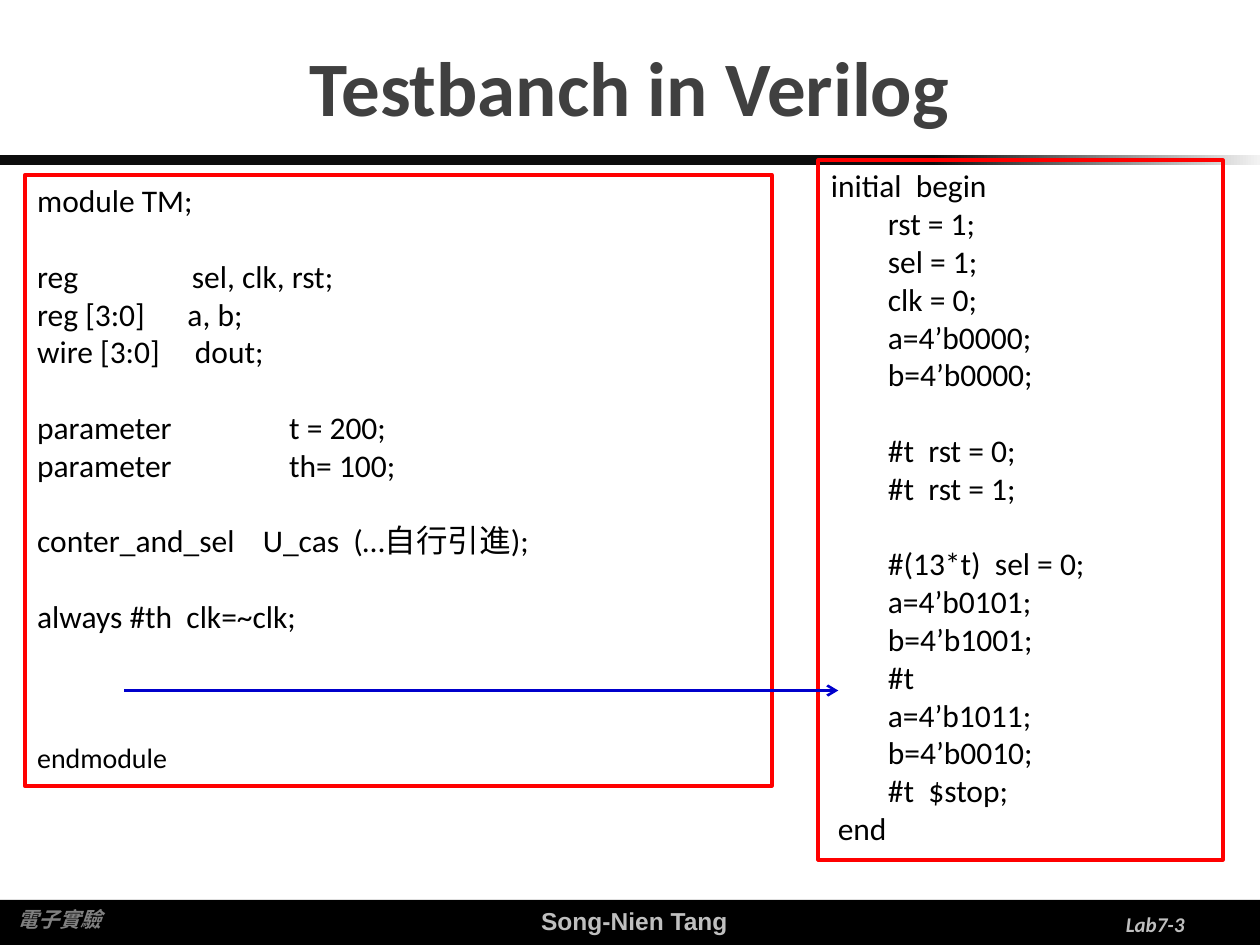
from copy import deepcopy

from lxml import etree
from pptx import Presentation
from pptx.dml.color import RGBColor
from pptx.enum import shapes, text
from pptx.oxml import ns
from pptx.util import Cm, Pt

BLACK = RGBColor(0x00, 0x00, 0x00)
NEAR_BLACK = RGBColor(0x0D, 0x0D, 0x0D)
PALE = RGBColor(0xF2, 0xF2, 0xF2)
DARK_GREY = RGBColor(0x40, 0x40, 0x40)
MID_GREY = RGBColor(0x80, 0x80, 0x80)
LIGHT_GREY = RGBColor(0xBF, 0xBF, 0xBF)
RED = RGBColor(0xFF, 0x00, 0x00)
BLUE = RGBColor(0x00, 0x00, 0xCC)

LEFT, CENTER, RIGHT = text.PP_ALIGN.LEFT, text.PP_ALIGN.CENTER, text.PP_ALIGN.RIGHT
TOP, MIDDLE = text.MSO_ANCHOR.TOP, text.MSO_ANCHOR.MIDDLE
CODE = {"size": Pt(18), "name": "Calibri"}
BLANK_LINE = 21.6
WIDTH_CM, HEIGHT_CM = 25.4, 19.05

# Each code line: text, then optional gap before (pt), tab stop (cm), indent (cm), size (pt)
MODULE_CODE = [
    ("module TM;", {}),
    ("reg\tsel, clk, rst;", {"gap": BLANK_LINE, "tab": 3.12}),
    ("reg [3:0]\ta, b;", {"tab": 3.03}),
    ("wire [3:0]\tdout;", {"tab": 3.18}),
    ("parameter\tt = 200;", {"gap": BLANK_LINE, "tab": 5.08}),
    ("parameter\tth= 100;", {"tab": 5.08}),
    ("conter_and_sel\tU_cas  (…自行引進);", {"gap": BLANK_LINE, "tab": 4.55}),
    ("always #th  clk=~clk;", {"gap": BLANK_LINE}),
    ("endmodule", {"gap": 60.5, "size": 16}),
]
STIMULUS_GROUPS = [
    ["rst = 1;", "sel = 1;", "clk = 0;", "a=4’b0000;", "b=4’b0000;"],
    ["#t  rst = 0;", "#t  rst = 1;"],
    ["#(13*t)  sel = 0;", "a=4’b0101;", "b=4’b1001;", "#t",
     "a=4’b1011;", "b=4’b0010;", "#t  $stop;"],
]


def stimulus_code():
    lines = [("initial  begin", {})]
    for group_no, group in enumerate(STIMULUS_GROUPS):
        for line_no, line in enumerate(group):
            gap = BLANK_LINE if group_no and not line_no else 0
            lines.append((line, {"gap": gap, "indent": 1.15}))
    return lines + [("end", {"indent": 0.14})]


def style_run(run, color, formats):
    run.font.color.rgb = color
    for attribute, value in formats.items():
        setattr(run.font, attribute, value)


def add_bar(slide, top, height):
    bar = slide.shapes.add_shape(shapes.MSO_SHAPE.RECTANGLE, Cm(0), Cm(top),
                                 Cm(WIDTH_CM), Cm(height))
    bar.shadow.inherit = False
    bar.line.fill.background()
    return bar


def fade_to_right(bar):
    """Fill the bar dark, fading to pale at its right end."""
    bar.fill.gradient()
    bar.fill.gradient_angle = 180
    stops = bar.fill.gradient_stops
    first = bar.element.spPr.find(".//" + ns.qn("a:gs"))
    first.addnext(deepcopy(first))
    stops = bar.fill.gradient_stops
    for stop, position, color in zip(stops, (0, 0.26, 0.9),
                                     (PALE, NEAR_BLACK, NEAR_BLACK)):
        stop.position = position
        stop.color.rgb = color


def add_frame(slide, box, anchor=TOP):
    frame = slide.shapes.add_textbox(*map(Cm, box))
    frame.text_frame.word_wrap = True
    frame.text_frame.vertical_anchor = anchor
    return frame


def add_label(slide, box, words, align, color, anchor=TOP, **formats):
    paragraph = add_frame(slide, box, anchor).text_frame.paragraphs[0]
    paragraph.alignment = align
    run = paragraph.add_run()
    run.text = words
    style_run(run, color, formats)


def set_layout(paragraph, tab, indent):
    properties = paragraph._p.get_or_add_pPr()
    if indent:
        properties.set("marL", str(Cm(indent)))
        properties.set("indent", "0")
    if tab:
        tabs = etree.SubElement(properties, ns.qn("a:tabLst"))
        etree.SubElement(tabs, ns.qn("a:tab"), pos=str(Cm(tab)), algn="l")


def add_code_box(slide, box, lines):
    frame = add_frame(slide, box)
    frame.line.color.rgb = RED
    frame.line.width = Pt(2.25)
    body = frame.text_frame
    for number, (line, layout) in enumerate(lines):
        paragraph = body.add_paragraph() if number else body.paragraphs[0]
        paragraph.space_before = Pt(layout.get("gap", 0))
        set_layout(paragraph, layout.get("tab"), layout.get("indent"))
        run = paragraph.add_run()
        run.text = line
        style_run(run, BLACK, CODE | {"size": Pt(layout.get("size", 18))})


def add_arrow(slide, start, end, y):
    arrow = slide.shapes.add_connector(shapes.MSO_CONNECTOR.STRAIGHT,
                                       Cm(start), Cm(y), Cm(end), Cm(y))
    arrow.line.color.rgb = BLUE
    arrow.line.width = Pt(1.5)
    etree.SubElement(arrow.line._get_or_add_ln(), ns.qn("a:tailEnd"), type="arrow")
    etree.SubElement(arrow.element.spPr, ns.qn("a:effectLst"))


def main():
    deck = Presentation()
    deck.slide_width, deck.slide_height = Cm(WIDTH_CM), Cm(HEIGHT_CM)
    slide = deck.slides.add_slide(deck.slide_layouts[6])

    footer = add_bar(slide, 18.14, 0.91)
    footer.fill.solid()
    footer.fill.fore_color.rgb = BLACK
    fade_to_right(add_bar(slide, 3.12, 0.2))

    add_label(slide, (7.29, 18.14, 11, 0.86), "Song-Nien Tang", CENTER, LIGHT_GREY,
              size=Pt(14), name="Arial", bold=True)
    add_label(slide, (0.1, 18.16, 5.1, 0.76), "電子實驗", LEFT, MID_GREY,
              size=Pt(12), name="Arial", bold=True, italic=True)
    add_label(slide, (1.27, 0.13, 22.86, 3.18), "Testbanch in Verilog", CENTER,
              DARK_GREY, MIDDLE, size=Pt(44), name="Calibri", bold=True)
    add_label(slide, (18.21, 18.11, 5.92, 1.02), "Lab7-3", RIGHT, LIGHT_GREY,
              MIDDLE, size=Pt(12), name="Calibri", bold=True, italic=True)

    add_code_box(slide, (0.5, 3.53, 15.06, 12.31), MODULE_CODE)
    add_code_box(slide, (16.5, 3.23, 8.15, 14.1), stimulus_code())
    add_arrow(slide, 2.5, 16.9, 13.92)

    deck.save("out.pptx")


if __name__ == "__main__":
    main()
